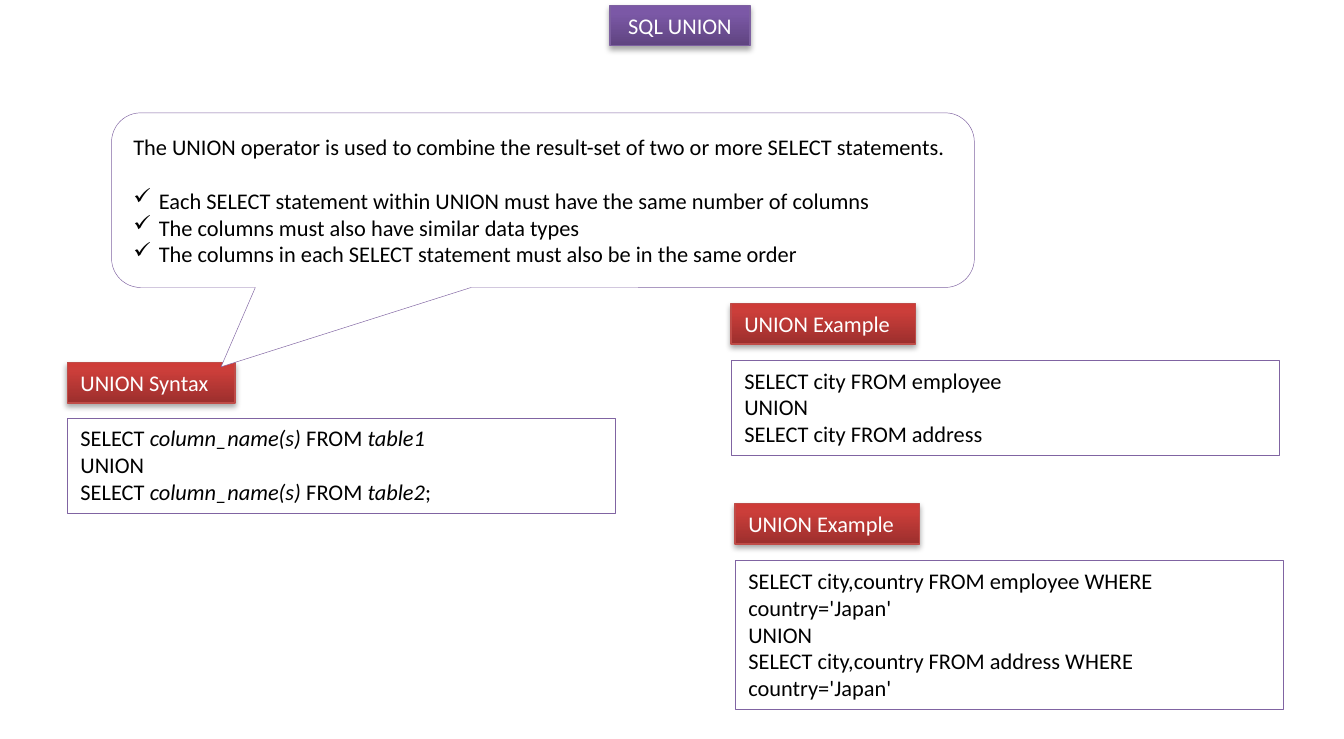
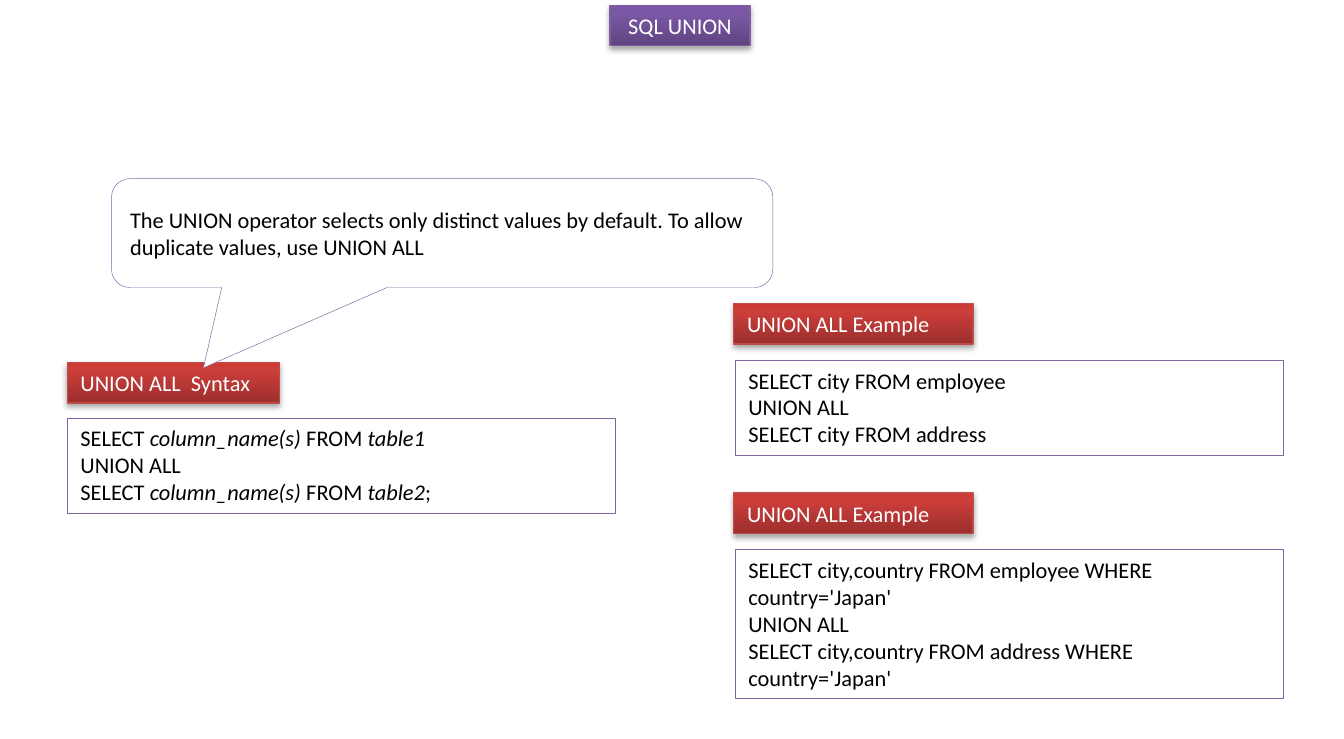
from copy import deepcopy

from lxml.etree import SubElement
from pptx import Presentation
from pptx.dml.color import RGBColor
from pptx.enum.shapes import MSO_SHAPE as SHAPE
from pptx.enum.text import MSO_ANCHOR as ANCHOR, MSO_AUTO_SIZE as AUTO_SIZE, PP_ALIGN as ALIGN
from pptx.oxml.ns import qn
from pptx.util import Inches, Pt

FONT, SIZE = "Calibri", 12
BLACK, WHITE, OUTLINE = "000000", "FFFFFF", "8064A2"
PURPLE = dict(color=WHITE, gradient=("5F4480", "7B58A6", "7C57A8"), line="7D60A0", width=0.75)
RED = dict(color=WHITE, gradient=("9C2F2D", "CB3E3A", "CE3B37"), line="BF4C48", width=0.75)
LABEL_HEIGHT, CODE_WIDTH = 0.3, 4.08


def rgb(value):
    return RGBColor.from_string(value)


def add_box(page, at, lines, shape=SHAPE.RECTANGLE, color=BLACK, gradient=None, line=OUTLINE,
            width=0.25, align=ALIGN.LEFT, anchor=ANCHOR.TOP, adjust=(), checks=False):
    """Add a shape with one paragraph per line; *stars* mark italics, checks tick all but the first."""
    box = page.shapes.add_shape(shape, *[Inches(length) for length in at])
    for index, value in enumerate(adjust):
        box.adjustments[index] = value
    box.line.color.rgb = rgb(line)
    box.line.width = Pt(width)
    box.shadow.inherit = False
    properties = box._element.spPr
    if gradient:
        box.fill.gradient()
        box.fill.gradient_angle = 90
        first_stop = properties.find(".//" + qn("a:gs"))
        first_stop.addnext(deepcopy(first_stop))
        for stop, position, stop_color in zip(box.fill.gradient_stops, (0, 0.8, 1), gradient):
            stop.position = position
            stop.color.rgb = rgb(stop_color)
        shadow = SubElement(properties.find(qn("a:effectLst")), qn("a:outerShdw"), blurRad=str(Pt(3.1)),
                            dist=str(Pt(1.8)), dir="5400000", rotWithShape="0")
        shadow_color = SubElement(shadow, qn("a:srgbClr"), val=BLACK)
        SubElement(shadow_color, qn("a:alpha"), val="35000")
    else:
        box.fill.solid()
        box.fill.fore_color.rgb = rgb(WHITE)

    frame = box.text_frame
    frame.word_wrap = True
    frame.vertical_anchor = anchor
    if shape == SHAPE.RECTANGLE:
        frame.auto_size = AUTO_SIZE.SHAPE_TO_FIT_TEXT
    for number, text in enumerate(lines):
        para = frame.paragraphs[0] if number == 0 else frame.add_paragraph()
        para.alignment = align
        if checks and number:
            para_properties = para._p.get_or_add_pPr()
            para_properties.set("marL", str(Inches(0.19)))
            para_properties.set("indent", str(Inches(-0.19)))
            if number == 1:
                para.space_before = Pt(14.5)
            SubElement(para_properties, qn("a:buChar"), char="✓")
        for index, part in enumerate(text.split("*")):
            if part:
                span = para.add_run()
                span.text = part
                span.font.name = FONT
                span.font.size = Pt(SIZE)
                span.font.color.rgb = rgb(color)
                span.font.italic = index % 2 == 1


slides = [
    dict(
        operator="UNION",
        syntax_label=("UNION Syntax", 1.25),
        callout=(0.83, 0.84, 6.42, 1.3),
        adjust=(-0.373, 0.954, 0.167),
        notes=[
            "The UNION operator is used to combine the result-set of two or more SELECT statements.",
            "Each SELECT statement within UNION must have the same number of columns",
            "The columns must also have similar data types",
            "The columns in each SELECT statement must also be in the same order",
        ],
        label_width=1.37,
        examples=[(5.44, 5.44, 2.26), (5.47, 5.47, 3.75)],
    ),
    dict(
        operator="UNION ALL",
        syntax_label=("UNION ALL  Syntax", 1.58),
        callout=(0.83, 1.33, 4.92, 0.81),
        adjust=(-0.361, 1.238, 0.167),
        notes=["The UNION operator selects only distinct values by default. "
               "To allow duplicate values, use UNION ALL"],
        label_width=1.78,
        examples=[(5.46, 5.47, 2.26), (5.46, 5.47, 3.67)],
    ),
]
# Columns, condition and code height of the two examples on each slide
queries = [("city", "", 0.71), ("city,country", " WHERE country='Japan'", 1.11)]

deck = Presentation()
deck.slide_width, deck.slide_height = Inches(10), Inches(5.5)

for content in slides:
    page = deck.slides.add_slide(deck.slide_layouts[6])
    operator = content["operator"]
    add_box(page, (4.54, 0.04, 1.04, LABEL_HEIGHT), ["SQL UNION"], align=ALIGN.CENTER, **PURPLE)

    syntax = ["SELECT *column_name(s)* FROM *table1*", operator,
              "SELECT *column_name(s)* FROM *table2*;"]
    add_box(page, (0.5, 3.11, CODE_WIDTH, 0.71), syntax)
    label, label_width = content["syntax_label"]
    add_box(page, (0.5, 2.7, label_width, LABEL_HEIGHT), [label], **RED)

    add_box(page, content["callout"], content["notes"], shape=SHAPE.ROUNDED_RECTANGULAR_CALLOUT,
            adjust=content["adjust"], anchor=ANCHOR.MIDDLE, checks=True)

    for (label_left, code_left, top), (columns, condition, height) in zip(content["examples"], queries):
        code = [f"SELECT {columns} FROM employee{condition}", operator,
                f"SELECT {columns} FROM address{condition}"]
        add_box(page, (code_left, top + 0.42, CODE_WIDTH, height), code)
        add_box(page, (label_left, top, content["label_width"], LABEL_HEIGHT),
                [f"{operator} Example"], **RED)

deck.save("out.pptx")
